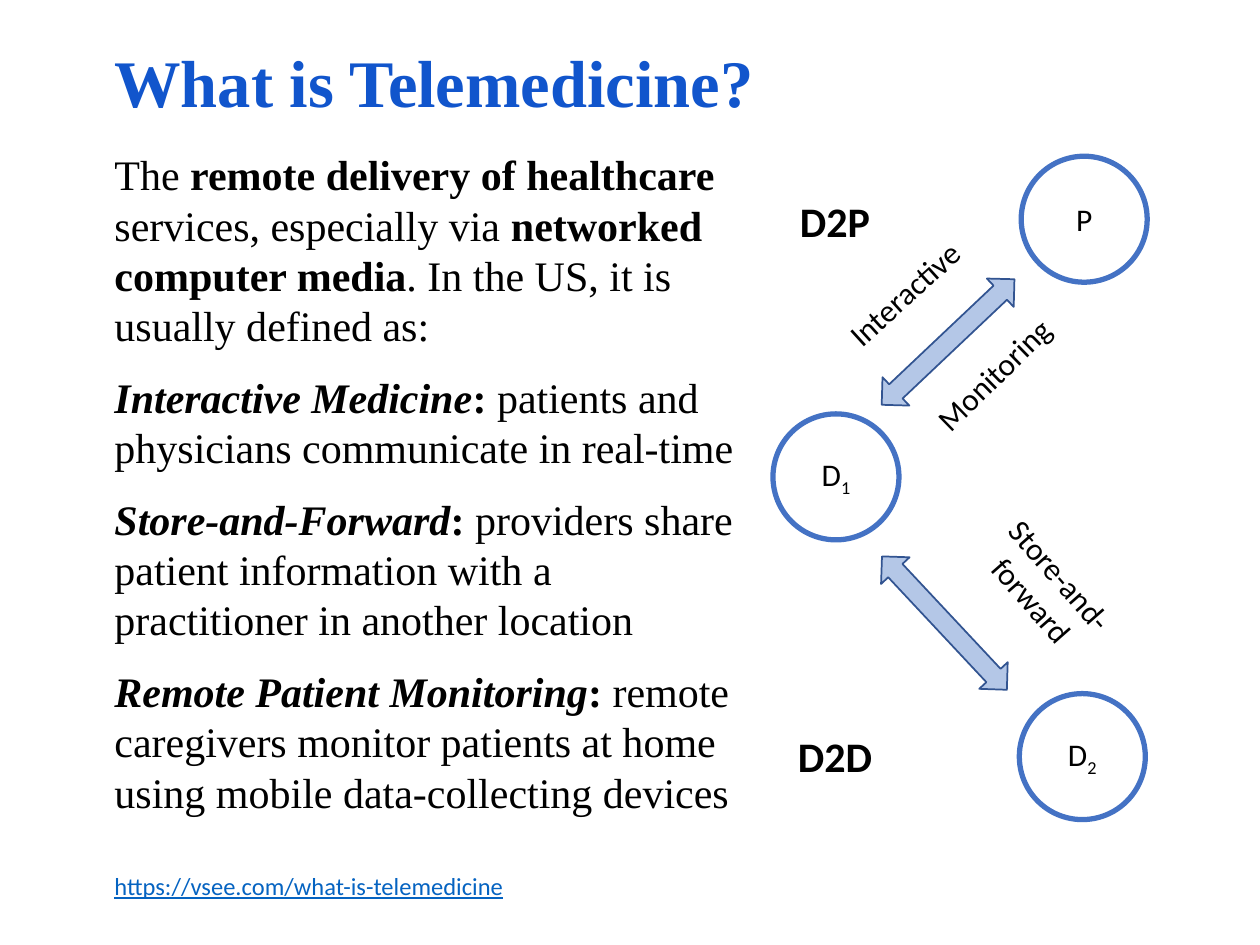
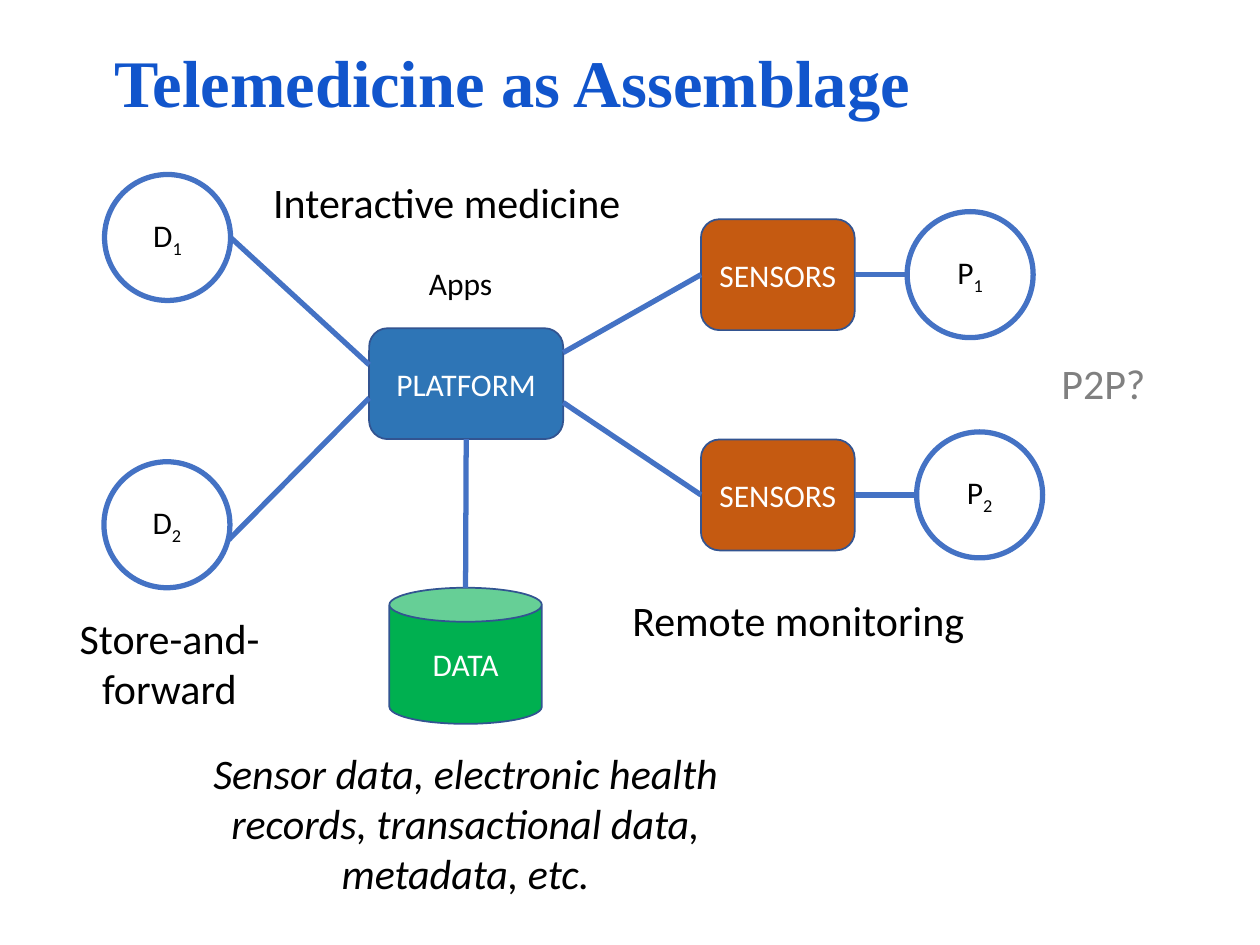
from dataclasses import dataclass

from lxml.etree import SubElement
from pptx import Presentation
from pptx.dml.color import RGBColor
from pptx.enum.shapes import MSO_CONNECTOR as Connector, MSO_SHAPE as Preset
from pptx.enum.text import MSO_ANCHOR as Anchor, PP_ALIGN as Align
from pptx.oxml.ns import qn
from pptx.util import Inches, Pt

COLORS = {
    "title": "1155CC", "text": "000000", "white": "FFFFFF", "link": "0563C1",
    "muted": "808080", "accent": "4472C4", "outline": "325491",
    "arrow": "B4C7E7", "platform": "2E75B6", "sensor": "C55A11", "data": "00B050",
}
SERIF, SANS = "Times New Roman", "Calibri"
COLUMNS, ROWS = 100, 75
CELL = Inches(10) / COLUMNS
NODE = 10
BOLD = {"bold": True}
TERM = {"bold": True, "italic": True}
DEFINITIONS = [
    [("The ", {}), ("remote delivery of healthcare ", BOLD),
     ("services, especially via ", {}), ("networked computer media", BOLD),
     (". In the US, it is usually defined as:", {})],
    [("Interactive Medicine", TERM), (": ", BOLD),
     ("patients and physicians communicate in real-time", {})],
    [("Store-and-Forward", TERM), (": ", BOLD),
     ("providers share patient information with a practitioner in another location", {})],
    [("Remote Patient Monitoring", TERM), (": ", BOLD),
     ("remote caregivers monitor patients at home using mobile data-collecting devices", {})],
]


@dataclass
class Box:
    column: float
    row: float
    width: float
    height: float

    def inner(self, column, row, width, height):
        return Box(self.column + column, self.row + row, width, height)

    def emu(self):
        return [round(CELL * cells) for cells in
                (self.column, self.row, self.width, self.height)]


TITLE_BOX = Box(8.1, 3, 84.6, 8.3)
DEFINITIONS_BOX = Box(8.1, 10.8, 52.5, 58.6)
SOURCE_BOX = Box(8.1, 68.65, 33.7, 3.4)
EXCHANGE_BOX = Box(61, 12, 31, 54)
NETWORK_BOX = Box(0, 12, COLUMNS, ROWS - 12)


def color(name):
    return RGBColor.from_string(COLORS[name])


def write(shape, paragraphs, *, size=18, font=SANS, fill="text", bold=False,
          italic=False, underline=None, align=Align.LEFT, anchor=Anchor.TOP,
          wrap=True, inset=None, spacing=None, gap=0):
    frame = shape.text_frame
    frame.word_wrap = wrap
    frame.vertical_anchor = anchor
    if inset is not None:
        frame.margin_left = frame.margin_right = Inches(inset)
        frame.margin_top = frame.margin_bottom = Inches(inset)
    if isinstance(paragraphs, str):
        paragraphs = [[(paragraphs, {})]]
    for index, runs in enumerate(paragraphs):
        paragraph = frame.add_paragraph() if index else frame.paragraphs[0]
        paragraph.alignment = align
        if spacing:
            paragraph.line_spacing = spacing
        if gap:
            paragraph.space_after = Pt(gap)
            if index:
                paragraph.space_before = Pt(gap)
        for text, style in runs:
            run = paragraph.add_run()
            run.text = text
            run.font.name = font
            run.font.size = Pt(size)
            run.font.bold = style.get("bold", bold)
            run.font.italic = style.get("italic", italic)
            run.font.underline = underline
            run.font.color.rgb = color(fill)
            if style.get("subscript"):
                run._r.get_or_add_rPr().set("baseline", "-25000")


def add_text(slide, box, text, rotation=0, **style):
    shape = slide.shapes.add_textbox(*box.emu())
    shape.rotation = rotation
    write(shape, text, **style)


def add_block(slide, box, preset, fill, line="outline", weight=1, rotation=0):
    shape = slide.shapes.add_shape(preset, *box.emu())
    shape.shadow.inherit = False
    shape.fill.solid()
    shape.fill.fore_color.rgb = color(fill)
    shape.line.color.rgb = color(line)
    shape.line.width = Pt(weight)
    shape.rotation = rotation
    return shape


def add_person(slide, region, column, row, letter, number=""):
    box = region.inner(column, row, NODE, NODE)
    shape = add_block(slide, box, Preset.OVAL, "white", "accent", 3)
    runs = [(letter, {})]
    if number:
        runs.append((number, {"subscript": True}))
    write(shape, [runs], align=Align.CENTER, anchor=Anchor.MIDDLE)
    return shape


def add_component(slide, box, text, fill, preset=Preset.ROUNDED_RECTANGLE):
    shape = add_block(slide, box, preset, fill)
    write(shape, text, fill="white", align=Align.CENTER, anchor=Anchor.MIDDLE)
    return shape


def port(shape, across, down):
    return (round(shape.left + shape.width * across),
            round(shape.top + shape.height * down))


def link(slide, start, end):
    connector = slide.shapes.add_connector(Connector.STRAIGHT, *start, *end)
    connector.line.color.rgb = color("accent")
    connector.line.width = Pt(3)
    SubElement(connector._element.spPr, qn("a:effectLst"))


def add_title(slide, box, text):
    add_text(slide, box, text, size=38, font=SERIF, fill="title", bold=True,
             inset=0.1, spacing=0.9)


def add_definitions(slide, box):
    add_text(slide, box, DEFINITIONS, size=24, font=SERIF, inset=0.1, gap=6)


def add_source(slide, box):
    add_text(slide, box, "https://vsee.com/what-is-telemedicine", size=14,
             fill="link", underline=True, wrap=False)


def add_exchange(slide, region):
    for person in ((0.35, 20.85, "D", "1"), (20.05, 0.4, "P"), (19.9, 43.05, "D", "2")):
        add_person(slide, region, *person)
    for column, row, rotation in ((7, 13.6, 316.6), (6.7, 35.9, 46.9)):
        add_block(slide, region.inner(column, row, 14.5, 3.1),
                  Preset.LEFT_RIGHT_ARROW, "arrow", rotation=rotation)
    for text, place, rotation, wrap in (
            ("Interactive", (4.3, 9.3, 12.9, 4), 317.8, False),
            ("Store-and-forward", (14.1, 31.1, 15.8, 7.1), 48.8, True),
            ("Monitoring", (8.5, 15.7, 18.7, 4), 315.7, True)):
        add_text(slide, region.inner(*place), text, rotation,
                 align=Align.CENTER, wrap=wrap)
    for text, place in (("D2P", (1.5, 3.05, 7.6, 5)), ("D2D", (1.35, 45.5, 8, 5))):
        add_text(slide, region.inner(*place), text, size=24, bold=True, wrap=False)


def add_network(slide, region):
    platform = add_component(slide, region.inner(29.3, 14.05, 15.4, 8.8),
                             "PLATFORM", "platform")
    data = add_component(slide, region.inner(30.9, 34.65, 12.1, 10.8),
                         "DATA", "data", Preset.CAN)
    link(slide, port(data, 0.5, 0), port(platform, 0.5, 1))

    for number, column, row, exit_port, platform_down in (
            ("1", 8.3, 1.85, (1, 0.5), 0.33), ("2", 8.25, 24.65, (0.99, 0.62), 0.63)):
        doctor = add_person(slide, region, column, row, "D", number)
        link(slide, port(doctor, *exit_port), port(platform, 0, platform_down))

    for number, column, row, platform_down in (
            ("1", 72, 4.8, 0.22), ("2", 72.75, 22.28, 0.67)):
        patient = add_person(slide, region, column, row, "P", number)
        sensor = add_component(slide, region.inner(55.63, row + 0.6, 12.2, 8.8),
                               "SENSORS", "sensor")
        link(slide, port(patient, 0, 0.5), port(sensor, 1, 0.5))
        link(slide, port(sensor, 0, 0.5), port(platform, 1, platform_down))

    for text, place, style in (
            ("Store-and-forward", (0.6, 36.1, 25.7, 9.1), {"align": Align.CENTER}),
            ("Remote monitoring", (49.2, 34.7, 32.6, 5), {}),
            ("Sensor data, electronic health records, transactional data, metadata, etc.",
             (14, 46.8, 45.9, 13.1), {"align": Align.CENTER, "italic": True}),
            ("Apps", (33.05, 8.45, 7.1, 4), {"size": 18, "wrap": False}),
            ("Interactive medicine", (20.7, 1.5, 32.6, 5), {}),
            ("P2P?", (83.25, 15.9, 8.8, 5), {"fill": "muted", "wrap": False})):
        add_text(slide, region.inner(*place), text, **{"size": 24, **style})


def add_slide(presentation, title):
    slide = presentation.slides.add_slide(presentation.slide_layouts[6])
    add_title(slide, TITLE_BOX, title)
    return slide


def main():
    presentation = Presentation()
    presentation.slide_width = round(CELL * COLUMNS)
    presentation.slide_height = round(CELL * ROWS)

    definition = add_slide(presentation, "What is Telemedicine?")
    add_definitions(definition, DEFINITIONS_BOX)
    add_source(definition, SOURCE_BOX)
    add_exchange(definition, EXCHANGE_BOX)

    assemblage = add_slide(presentation, "Telemedicine as Assemblage")
    add_network(assemblage, NETWORK_BOX)

    presentation.save("out.pptx")


if __name__ == "__main__":
    main()
